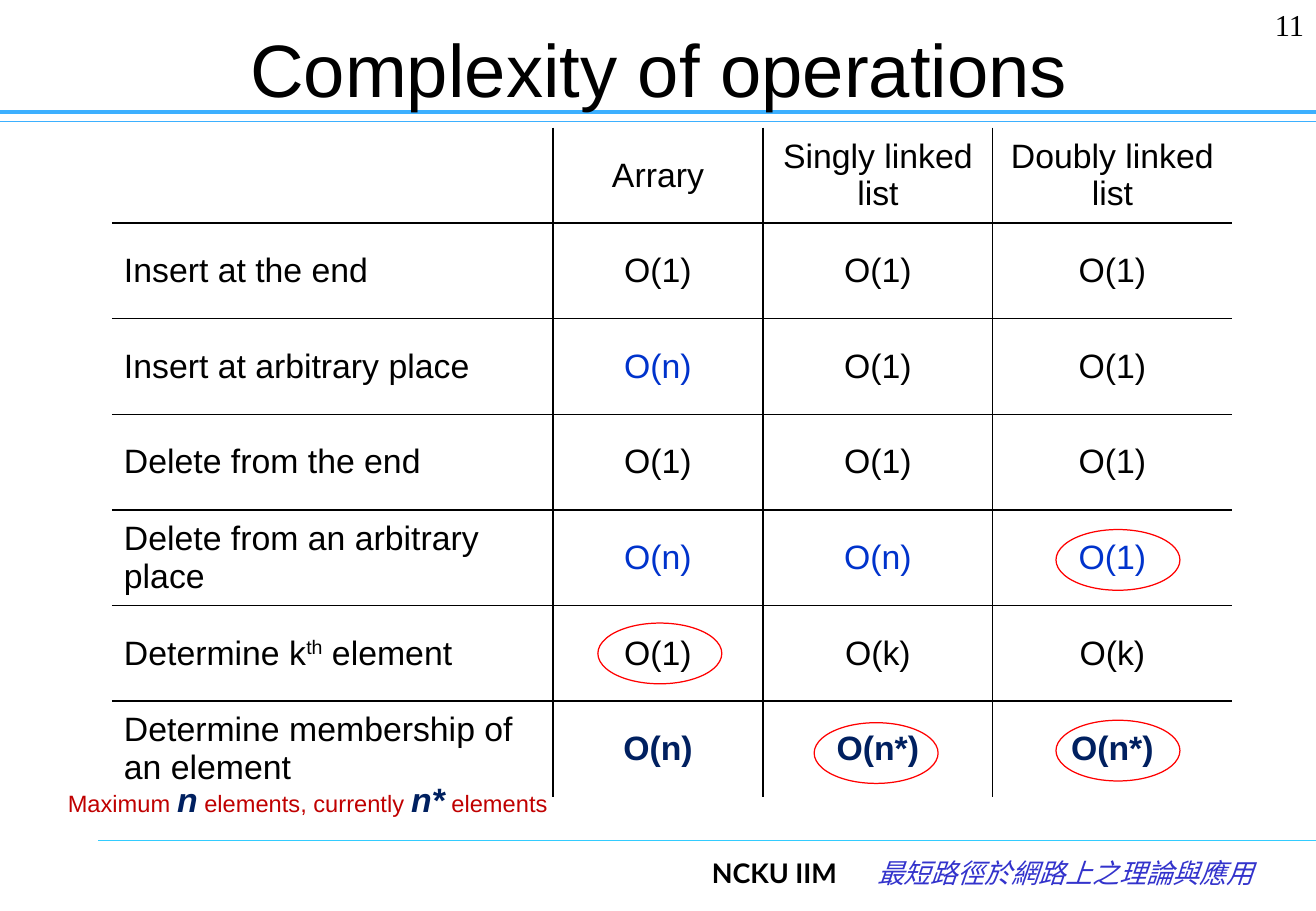
"""Build a slide that compares the complexity of array and linked list operations."""
from lxml import etree
from pptx import Presentation
from pptx.dml.color import RGBColor
from pptx.enum.shapes import MSO_CONNECTOR, MSO_SHAPE
from pptx.enum.text import MSO_ANCHOR, MSO_AUTO_SIZE, PP_ALIGN
from pptx.oxml import parse_xml
from pptx.oxml.ns import nsdecls, qn
from pptx.util import Emu, Pt

STRAIGHT, ELLIPSE = MSO_CONNECTOR.STRAIGHT, MSO_SHAPE.OVAL
LEFT, CENTER, RIGHT = PP_ALIGN.LEFT, PP_ALIGN.CENTER, PP_ALIGN.RIGHT
TOP, MIDDLE = MSO_ANCHOR.TOP, MSO_ANCHOR.MIDDLE
FIT_TEXT = MSO_AUTO_SIZE.SHAPE_TO_FIT_TEXT

PX = 9144
SLIDE_WIDTH, SLIDE_HEIGHT = 1083, 750
BLACK, BLUE, NAVY, DARK_RED, RED = "000000", "0033CC", "002060", "C00000", "FF0000"

CELL = {"size": 20, "name": "Arial", "color": BLACK}
CHANGED = {**CELL, "color": BLUE}
MEMBERSHIP = {**CELL, "color": NAVY, "bold": True}
NOTE = {"size": 14, "name": "Arial", "color": DARK_RED}
SYMBOL = {**MEMBERSHIP, "italic": True}

RULES = [
    (0, 100, "3DB0FF", 0.75),
    (0, 92, "3DB0FF", 2.5),
    (81, 692, "33CCFF", 0.75),
]

FOOTER_TAB = 136
FOOTER = [
    ("NCKU IIM\t", {"size": 16, "name": "Lato", "color": BLACK, "bold": True}),
    ("最短路徑於網路上之理論與應用",
     {"size": 16, "name": "Noto Sans Mono", "color": "3333CC", "italic": True}),
]
PAGE_NUMBER = [("11", {"size": 18, "name": "Times New Roman", "color": BLACK})]
TITLE = [("Complexity of operations", {"size": 44, "name": "Arial", "color": BLACK})]
LEGEND = [
    ("Maximum ", NOTE), ("n", SYMBOL), (" elements, currently ", NOTE),
    ("n*", SYMBOL), (" elements", NOTE),
]

TABLE_LEFT, TABLE_TOP, TABLE_HEIGHT = 92, 105, 551
COLUMN_WIDTHS = [363, 173, 189, 197]
ROWS = [
    (["", "Arrary", "Singly linked list", "Doubly linked list"], CELL),
    (["Insert at the end", "O(1)", "O(1)", "O(1)"], CELL),
    (["Insert at arbitrary place", "O(n)", "O(1)", "O(1)"], CELL),
    (["Delete from the end", "O(1)", "O(1)", "O(1)"], CELL),
    (["Delete from an arbitrary place", "O(n)", "O(n)", "O(1)"], CHANGED),
    (["Determine k^th^ element", "O(1)", "O(k)", "O(k)"], CELL),
    (["Determine membership of an element", "O(n)", "O(n*)", "O(n*)"], MEMBERSHIP),
]
SPECIAL_CELLS = {(2, 1): CHANGED}

RING_WIDTH, RING_HEIGHT = 102, 50
RINGS = [(670, 595), (869, 593), (869, 436), (492, 513)]


def px(value):
    """Turn px into EMU."""
    return Emu(round(value * PX))


def rgb(color):
    """Turn a hex string into a colour."""
    return RGBColor.from_string(color)


def add_runs(paragraph, runs):
    """Append formatted runs to a paragraph."""
    for text, formats in runs:
        run = paragraph.add_run()
        run.text = text
        for key, value in formats.items():
            if key == "color":
                run.font.color.rgb = rgb(value)
            else:
                setattr(run.font, key, Pt(value) if key == "size" else value)
        if "name" in formats:
            east_asian = etree.SubElement(run.font._element, qn("a:ea"))
            east_asian.set("typeface", formats["name"])


def add_text(slide, box, runs, alignment, anchor=TOP, wrap=True):
    """Add a one-paragraph text box."""
    shape = slide.shapes.add_textbox(*map(px, box))
    frame = shape.text_frame
    frame.word_wrap = wrap
    frame.vertical_anchor = anchor
    if not wrap:
        frame.auto_size = FIT_TEXT
    paragraph = frame.paragraphs[0]
    paragraph.alignment = alignment
    add_runs(paragraph, runs)
    return paragraph


def add_tab(paragraph, position):
    """Set a left tab stop."""
    tabs = etree.SubElement(paragraph._p.get_or_add_pPr(), qn("a:tabLst"))
    etree.SubElement(tabs, qn("a:tab"), pos=str(px(position)), algn="l")


def add_rule(slide, left, top, color, weight):
    """Add a horizontal line that runs to the right edge."""
    line = slide.shapes.add_connector(
        STRAIGHT, px(left), px(top), px(SLIDE_WIDTH), px(top))
    line.line.color.rgb = rgb(color)
    line.line.width = Pt(weight)
    etree.SubElement(line._element.spPr, qn("a:effectLst"))


def set_borders(cell, visible):
    """Draw the inner borders of a cell and clear the outer ones."""
    properties = cell._tc.get_or_add_tcPr()
    for index, (side, shown) in enumerate(visible.items()):
        paint = (f'<a:solidFill><a:srgbClr val="{BLACK}"/></a:solidFill>'
                 if shown else "<a:noFill/>")
        properties.insert(index, parse_xml(
            f'<a:ln{side} {nsdecls("a")} w="{Pt(1)}">{paint}</a:ln{side}>'))


def add_complexity_table(slide):
    """Add the table of operations."""
    row_count, column_count = len(ROWS), len(COLUMN_WIDTHS)
    table = slide.shapes.add_table(
        row_count, column_count, px(TABLE_LEFT), px(TABLE_TOP),
        px(sum(COLUMN_WIDTHS)), px(TABLE_HEIGHT)).table
    table.first_row = table.horz_banding = False
    for column, width in zip(table.columns, COLUMN_WIDTHS):
        column.width = px(width)
    for row_index, (texts, row_format) in enumerate(ROWS):
        table.rows[row_index].height = px(TABLE_HEIGHT / row_count)
        for column_index, text in enumerate(texts):
            cell = table.cell(row_index, column_index)
            cell.fill.background()
            cell.vertical_anchor = MIDDLE
            set_borders(cell, {
                "L": column_index > 0, "R": column_index < column_count - 1,
                "T": row_index > 0, "B": row_index < row_count - 1})
            formats = CELL if column_index == 0 else SPECIAL_CELLS.get(
                (row_index, column_index), row_format)
            paragraph = cell.text_frame.paragraphs[0]
            paragraph.alignment = CENTER if column_index else LEFT
            if text:
                add_runs(paragraph, [(part, formats) for part in text.split("^")])
            for run in paragraph.runs[1:2]:
                run.font._element.set("baseline", "30000")


def add_ring(slide, left, top):
    """Add a red ring around a result."""
    ring = slide.shapes.add_shape(
        ELLIPSE, px(left), px(top), px(RING_WIDTH), px(RING_HEIGHT))
    ring.shadow.inherit = False
    ring.fill.background()
    ring.line.color.rgb = rgb(RED)
    ring.line.width = Pt(0.75)


def main():
    """Assemble and save the slide."""
    presentation = Presentation()
    presentation.slide_width, presentation.slide_height = px(SLIDE_WIDTH), px(SLIDE_HEIGHT)
    slide = presentation.slides.add_slide(presentation.slide_layouts[6])
    footer = add_text(slide, (576, 700, 466, 50), FOOTER, LEFT)
    add_tab(footer, FOOTER_TAB)
    for rule in RULES:
        add_rule(slide, *rule)
    add_text(slide, (993, 0, 90, 50), PAGE_NUMBER, RIGHT)
    add_text(slide, (55, 12, 975, 87), TITLE, CENTER, MIDDLE)
    add_complexity_table(slide)
    add_text(slide, (46, 636, 417, 44), LEGEND, LEFT, wrap=False)
    for ring in RINGS:
        add_ring(slide, *ring)
    presentation.save("out.pptx")


if __name__ == "__main__":
    main()
